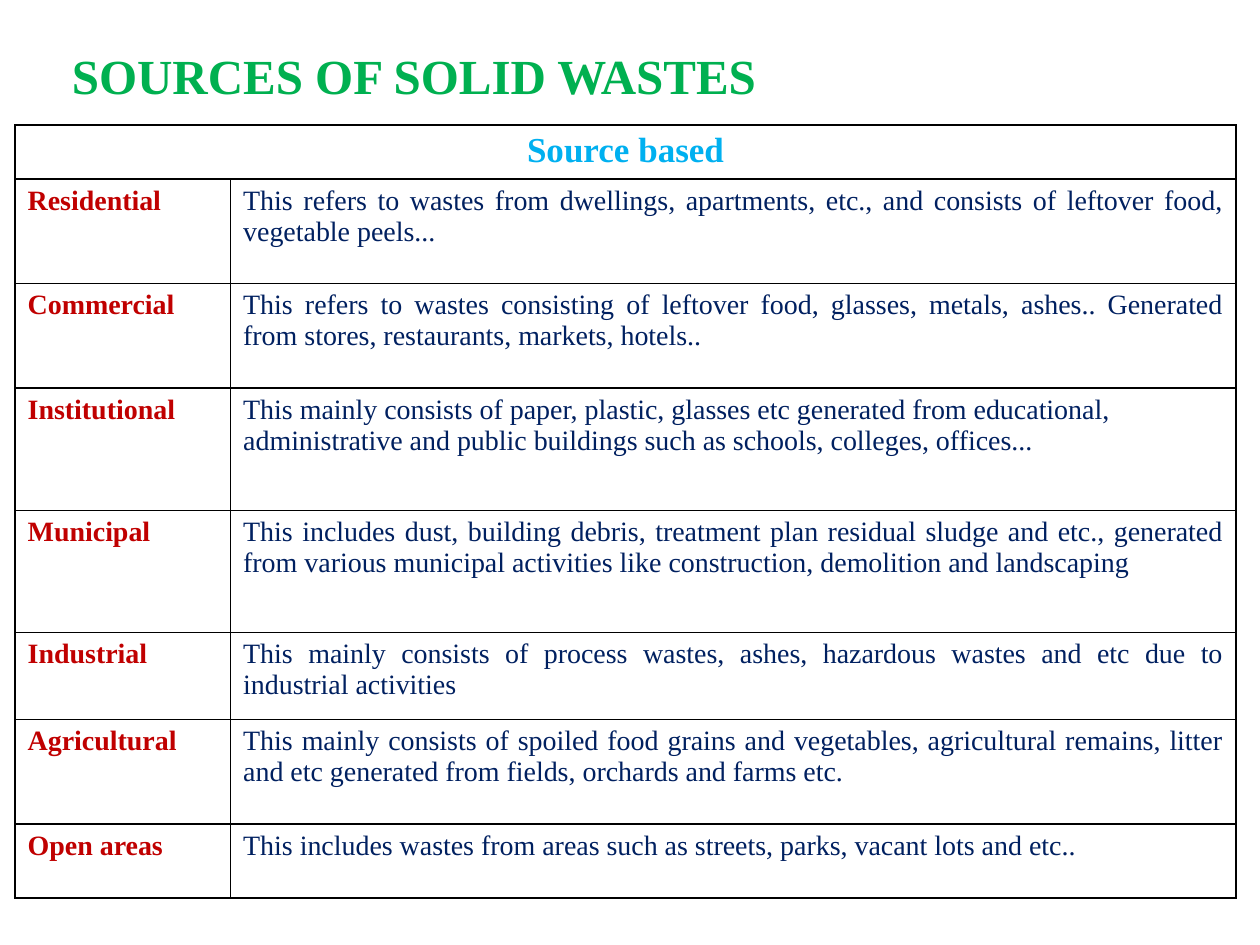
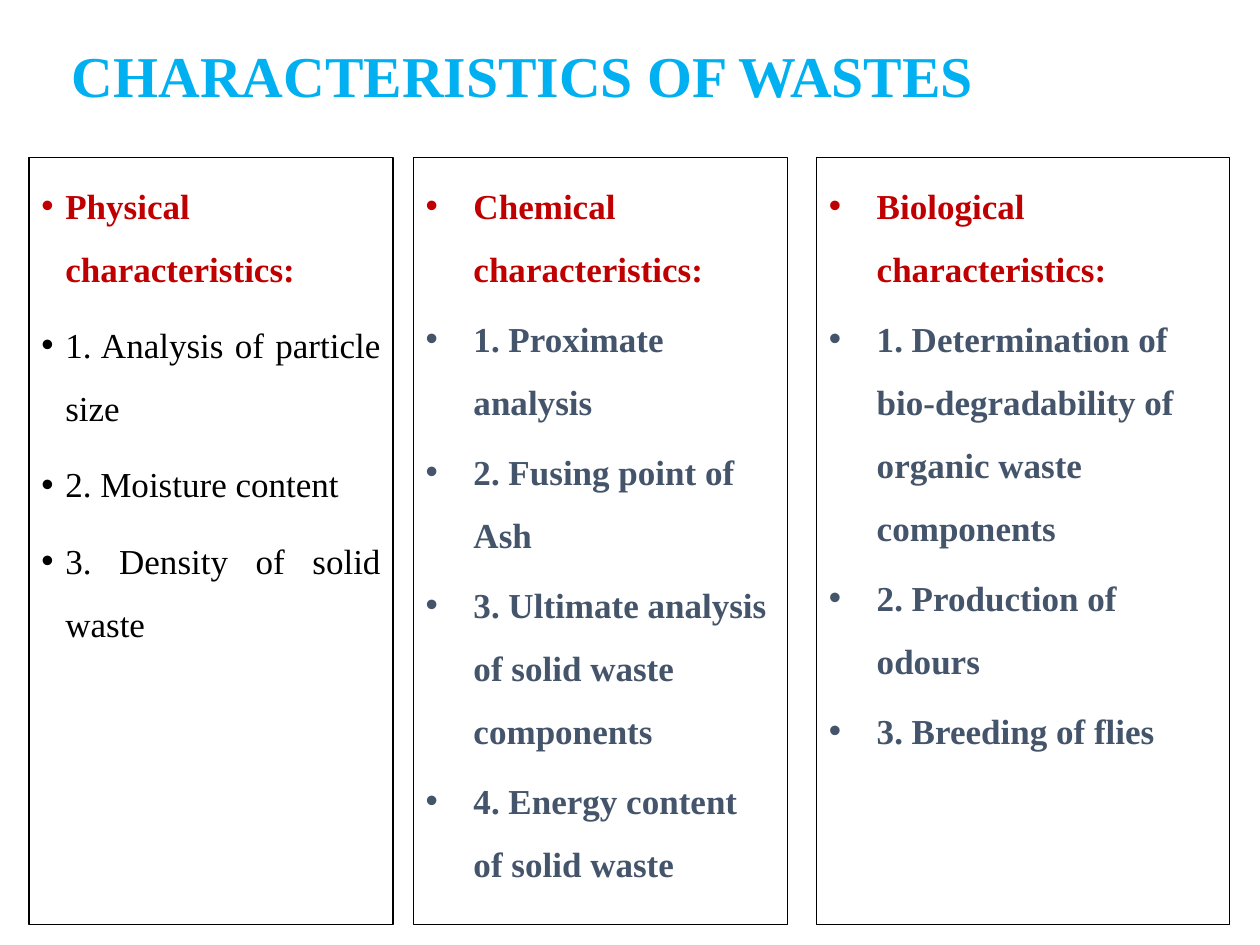
from lxml import etree
from pptx import Presentation
from pptx.dml.color import RGBColor
from pptx.enum.shapes import MSO_SHAPE as Shape
from pptx.enum.text import MSO_ANCHOR as Anchor, MSO_AUTO_SIZE as AutoSize, PP_ALIGN as Align
from pptx.oxml.ns import qn
from pptx.util import Inches, Pt

WIDTH, HEIGHT = Inches(10), Inches(7.5)
FONT = "Times New Roman"
GREEN, SKY, RED, NAVY = "00B050", "00B0F0", "C00000", "002060"
SLATE, BLACK = "44546A", "000000"
TITLE_BOX = (0.47, 0, 9, 1.25)
TABLE_BOX = (0.12, 0.99, 9.69, 6.14)
COLUMN_SHARES = (0.1765, 0.8235)
ROW_HEIGHTS = (0.43, 0.83, 0.83, 0.97, 0.97, 0.69, 0.83, 0.59)
PANEL_TOP, PANEL_HEIGHT = 1.25, 6.09
LEFT, JUSTIFY = Align.LEFT, Align.JUSTIFY

SOURCES = [
    ("Residential", JUSTIFY, "This refers to wastes from dwellings, apartments, etc., and consists of "
     "leftover food, vegetable peels...", JUSTIFY),
    ("Commercial", JUSTIFY, "This refers to wastes consisting of leftover food, glasses, metals, ashes.. "
     "Generated from stores, restaurants, markets, hotels..", JUSTIFY),
    ("Institutional", LEFT, "This mainly consists of paper, plastic, glasses etc generated from "
     "educational, administrative and public buildings such as schools, colleges, offices...", LEFT),
    ("Municipal", LEFT, "This includes dust, building debris, treatment plan residual sludge and etc., "
     "generated from various municipal activities like construction, demolition and landscaping", JUSTIFY),
    ("Industrial", LEFT, "This mainly consists of process wastes, ashes, hazardous wastes and etc due to "
     "industrial activities", JUSTIFY),
    ("Agricultural", LEFT, "This mainly consists of spoiled food grains and vegetables, agricultural "
     "remains, litter and etc generated from fields, orchards and farms etc.", JUSTIFY),
    ("Open areas", LEFT, "This includes wastes from areas such as streets, parks, vacant lots and etc..",
     JUSTIFY),
]

PHYSICAL_STYLE = dict(align=JUSTIFY, indent=0.19, gap=7.5, color=BLACK, bold=False)
OTHER_STYLE = dict(align=LEFT, indent=0.38, gap=4, color=SLATE, bold=True)
PANELS = [
    (0.23, 2.89, PHYSICAL_STYLE, "Physical characteristics:",
     ["1. Analysis of particle size", "2. Moisture content", "3. Density of solid waste"]),
    (3.28, 2.97, OTHER_STYLE, "Chemical characteristics:",
     ["1. Proximate analysis", "2. Fusing point of Ash",
      "3. Ultimate analysis of solid waste components", "4. Energy content of solid waste"]),
    (6.48, 3.28, OTHER_STYLE, "Biological characteristics:",
     ["1. Determination of bio-degradability of organic waste components",
      "2. Production of odours", "3. Breeding of flies"]),
]


def rgb(code):
    """Turn a hex string into a colour."""
    return RGBColor.from_string(code)


def write(paragraph, text, size, color, bold=True, align=LEFT):
    """Add one formatted run to a paragraph."""
    paragraph.alignment = align
    run = paragraph.add_run()
    run.text = text
    run.font.name, run.font.size, run.font.bold = FONT, Pt(size), bold
    run.font.color.rgb = rgb(color)


def add_titled_slide(deck, heading, size, color):
    """Add a title-only slide with its heading placed and formatted."""
    slide = deck.slides.add_slide(deck.slide_layouts[5])
    title = slide.shapes.title
    title.left, title.top, title.width, title.height = map(Inches, TITLE_BOX)
    frame = title.text_frame
    frame.auto_size, frame.vertical_anchor = AutoSize.NONE, Anchor.MIDDLE
    frame.paragraphs[0].line_spacing = 0.9
    write(frame.paragraphs[0], heading, size, color)
    return slide


def outline_cell(cell):
    """Draw a thin black border on all sides of a cell and clear its fill."""
    cell.fill.background()
    properties = cell._tc.get_or_add_tcPr()
    for index, side in enumerate(("a:lnL", "a:lnR", "a:lnT", "a:lnB")):
        border = etree.Element(qn(side), w=str(Pt(1)))
        fill = etree.SubElement(border, qn("a:solidFill"))
        etree.SubElement(fill, qn("a:srgbClr"), val=BLACK)
        properties.insert(index, border)


def add_source_table(slide, box):
    """Fill the box with the table of waste sources."""
    left, top, width, height = map(Inches, box)
    table = slide.shapes.add_table(len(ROW_HEIGHTS), 2, left, top, width, height).table
    table.first_row = table.horz_banding = False
    for column, share in zip(table.columns, COLUMN_SHARES):
        column.width = int(width * share)
    for row, row_height in zip(table.rows, ROW_HEIGHTS):
        row.height = Inches(row_height)
    for cell in table.iter_cells():
        outline_cell(cell)
    header = table.cell(0, 0)
    header.merge(table.cell(0, 1))
    write(header.text_frame.paragraphs[0], "Source based", 20, SKY, align=Align.CENTER)
    for row, (source, source_align, detail, detail_align) in enumerate(SOURCES, 1):
        write(table.cell(row, 0).text_frame.paragraphs[0], source, 16, RED, True, source_align)
        write(table.cell(row, 1).text_frame.paragraphs[0], detail, 16, NAVY, False, detail_align)


def set_bullet(paragraph, indent):
    """Give a paragraph a round bullet with a hanging indent."""
    properties = paragraph._p.get_or_add_pPr()
    properties.set("marL", str(Inches(indent)))
    properties.set("indent", str(-Inches(indent)))
    etree.SubElement(properties, qn("a:buFont"), typeface="Arial")
    etree.SubElement(properties, qn("a:buChar"), char="•")


def add_panel(slide, box, heading, items, align, indent, gap, color, bold):
    """Draw an outlined panel with a red heading and its bulleted items."""
    panel = slide.shapes.add_shape(Shape.RECTANGLE, *map(Inches, box))
    panel.shadow.inherit = False
    panel.fill.background()
    panel.line.color.rgb, panel.line.width = rgb(BLACK), Pt(0.75)
    frame = panel.text_frame
    frame.word_wrap, frame.vertical_anchor = True, Anchor.TOP
    for index, text in enumerate([heading, *items]):
        paragraph = frame.add_paragraph() if index else frame.paragraphs[0]
        set_bullet(paragraph, indent)
        paragraph.line_spacing = 1.5
        paragraph.space_before = Pt(gap if index else 0)
        if index:
            write(paragraph, text, 20, color, bold, align)
        else:
            write(paragraph, text, 20, RED, True, align)


def main():
    """Build and save both slides."""
    deck = Presentation()
    deck.slide_width, deck.slide_height = WIDTH, HEIGHT
    sources = add_titled_slide(deck, "SOURCES OF SOLID WASTES", 28, GREEN)
    add_source_table(sources, TABLE_BOX)
    traits = add_titled_slide(deck, "CHARACTERISTICS OF WASTES", 33, SKY)
    for left, width, style, heading, items in PANELS:
        add_panel(traits, (left, PANEL_TOP, width, PANEL_HEIGHT), heading, items, **style)
    deck.save("out.pptx")


if __name__ == "__main__":
    main()
